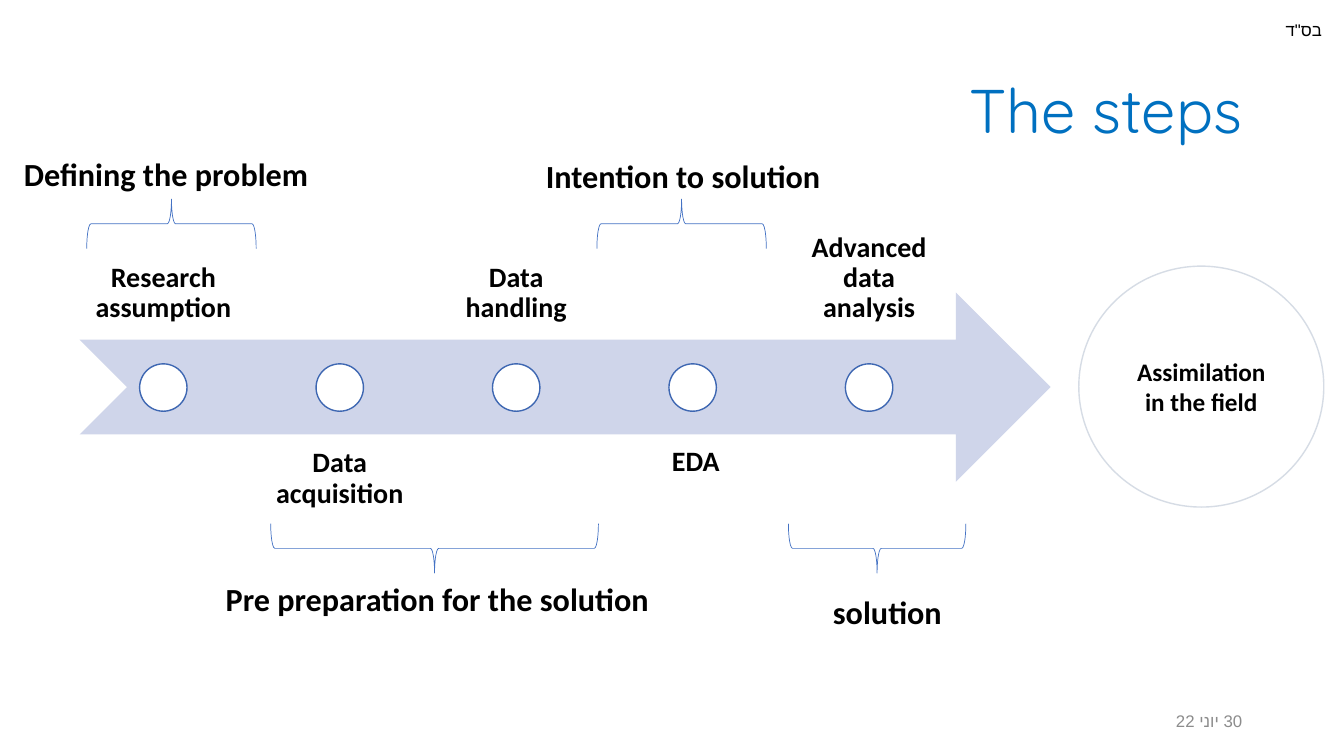
from pptx import Presentation
from pptx.dml.color import RGBColor
from pptx.enum.shapes import MSO_SHAPE as SHAPE
from pptx.enum.text import MSO_ANCHOR as ANCHOR, MSO_AUTO_SIZE as AUTO, PP_ALIGN as ALIGN
from pptx.oxml.ns import qn
from pptx.util import Inches, Pt
from lxml.etree import SubElement

COLORS = {
    "text": "000000", "title": "0070C0", "date": "8C8C8C", "white": "FFFFFF",
    "arrow": "CFD5EA", "dot": "3E67B2", "goal": "D6DCE5", "brace": "4472C4",
}
STEPS = ["Research assumption", "Data acquisition", "Data handling", "EDA ",
         "Advanced data analysis"]
STEP_LEFT, STEP_GAP, STEP_W, STEP_H = 0.79, 1.75, 1.66, 1.88
STEP_MARGINS = {"left": 0.13, "right": 0.13, "top": 0.16, "bottom": 0.16}
DOT = 0.47
BRACES = [
    (1.7, 2.22, 1.68, 90),
    (4.31, 5.44, 3.25, 270),
    (6.76, 2.22, 1.68, 90),
    (8.7, 5.44, 1.76, 270),
]
PHASES = [
    ("Defining the problem", (0.1, 1.48, 3.06, 0.49), False),
    ("Pre preparation for the solution", (2.09, 5.7, 4.45, 0.49), False),
    ("Intention to solution", (5.28, 1.5, 2.96, 0.49), False),
    ("solution", (7.89, 5.83, 1.55, 0.49), True),
]


def rgb(name):
    return RGBColor.from_string(COLORS[name])


def apply(target, values):
    for name, value in values.items():
        setattr(target, name, value)


def write(sp, text, size, font="Calibri", color="text", bold=False,
          align=ALIGN.RIGHT, spacing=None, frame=None):
    tf = sp.text_frame
    apply(tf, {"word_wrap": True, **(frame or {})})
    p = tf.paragraphs[0]
    apply(p, {"alignment": align, "line_spacing": spacing})
    p._p.get_or_add_pPr().set("rtl", "1")
    r = p.add_run()
    r.text = text
    apply(r.font, {"name": font, "size": Pt(size), "bold": bold})
    r.font.color.rgb = rgb(color)
    SubElement(r._r.get_or_add_rPr(), qn("a:cs")).set("typeface", font)


def add_text(s, box, text, size, **style):
    sp = s.shapes.add_textbox(*map(Inches, box))
    write(sp, text, size, **style)


def add_shape(s, kind, box, fill=None, line=None, width=1):
    sp = s.shapes.add_shape(kind, *map(Inches, box))
    sp.shadow.inherit = False
    if fill:
        sp.fill.solid()
        sp.fill.fore_color.rgb = rgb(fill)
    else:
        sp.fill.background()
    if line:
        sp.line.color.rgb = rgb(line)
        sp.line.width = Pt(width)
    else:
        sp.line.fill.background()
    return sp


def add_step(s, i, text):
    left = STEP_LEFT + i * STEP_GAP
    below = i % 2
    margins = {f"margin_{side}": Inches(gap) for side, gap in STEP_MARGINS.items()}
    frame = {"vertical_anchor": ANCHOR.TOP if below else ANCHOR.BOTTOM, **margins}
    add_text(s, (left, 4.29 if below else 1.49, STEP_W, STEP_H), text, 20,
             bold=True, align=ALIGN.CENTER, spacing=0.9, frame=frame)
    add_shape(s, SHAPE.OVAL, (left + (STEP_W - DOT) / 2, 3.61, DOT, DOT), "white", "dot")


def add_brace(s, cx, cy, span, rotation):
    depth = 0.49
    box = (cx - depth / 2, cy - span / 2, depth, span)
    sp = add_shape(s, SHAPE.LEFT_BRACE, box, line="brace", width=0.5)
    sp.rotation = rotation


def main():
    prs = Presentation()
    apply(prs, {"slide_width": Inches(13.33), "slide_height": Inches(7.5)})
    s = prs.slides.add_slide(prs.slide_layouts[6])
    middle = {"vertical_anchor": ANCHOR.MIDDLE}

    add_text(s, (12.42, 0.15, 0.79, 0.3), "בס\"ד", 12, font="Arial")
    add_text(s, (0.92, 0.4, 11.5, 1.45), "The steps", 44, font="Quicksand",
             color="title", spacing=0.9, frame=middle)
    add_text(s, (9.42, 6.95, 3, 0.4), "30 יוני 22", 12, font="Arial",
             color="date", frame=middle)

    add_shape(s, SHAPE.NOTCHED_RIGHT_ARROW, (STEP_LEFT, 2.9, 9.63, 1.88), "arrow")
    for i, text in enumerate(STEPS):
        add_step(s, i, text)
    goal = add_shape(s, SHAPE.OVAL, (10.7, 2.64, 2.43, 2.39), "white", "goal")
    write(goal, "Assimilation in the field", 18, bold=True, align=ALIGN.CENTER, frame=middle)

    for brace in BRACES:
        add_brace(s, *brace)
    for text, box, wrap in PHASES:
        add_text(s, box, text, 23, bold=True,
                 frame={"word_wrap": wrap, "auto_size": AUTO.SHAPE_TO_FIT_TEXT})

    prs.save("out.pptx")


main()
